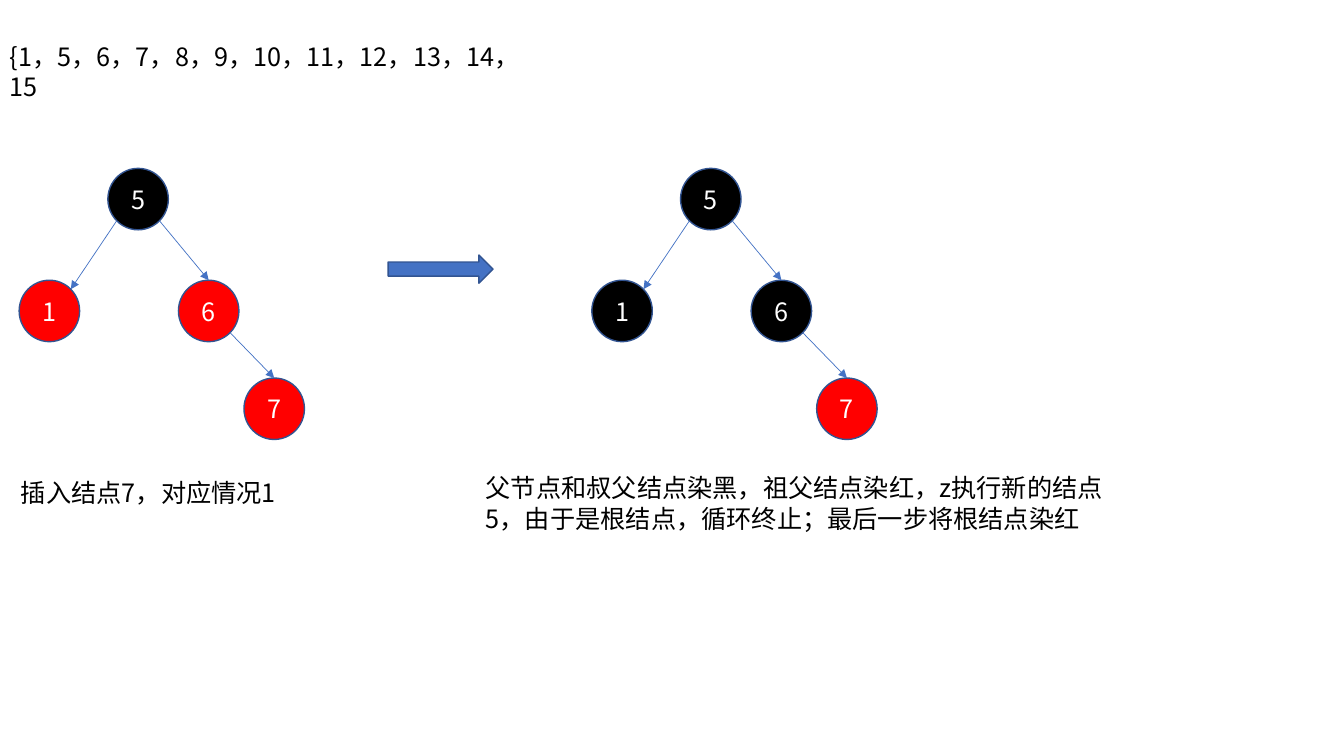
from dataclasses import dataclass
from math import sqrt

from pptx import Presentation
from pptx import util as u
from pptx.dml.color import RGBColor
from pptx.enum import shapes, text
from pptx.oxml.ns import qn
from lxml import etree

PX = 9144  # EMU per px, 100 px to the inch


@dataclass(frozen=True)
class Theme:
    font: str = "Noto Sans CJK SC"
    size: int = 18
    ink: str = "000000"
    paper: str = "FFFFFF"
    red: str = "FF0000"
    black: str = "000000"
    accent: str = "4472C4"
    outline: str = "325491"
    outline_pt: float = 1
    edge_pt: float = 0.5


class Board:
    """Draws tree elements on the current slide in one theme."""

    def __init__(self, slide, theme):
        self.s = slide
        self.theme = theme

    def style_text(self, tf, color):
        for p in tf.paragraphs:
            for r in p.runs:
                r.font.size = u.Pt(self.theme.size)
                r.font.color.rgb = RGBColor.from_string(color)
                r.font.name = self.theme.font
                ea = etree.SubElement(r.font._element, qn("a:ea"))
                ea.set("typeface", self.theme.font)

    def label(self, x, y, w, h, words):
        tf = self.s.shapes.add_textbox(x * PX, y * PX, w * PX, h * PX).text_frame
        tf.text = words
        tf.word_wrap = True
        tf.auto_size = text.MSO_AUTO_SIZE.SHAPE_TO_FIT_TEXT
        self.style_text(tf, self.theme.ink)

    def shape(self, kind, x, y, w, h, fill):
        sp = self.s.shapes.add_shape(kind, x * PX, y * PX, w * PX, h * PX)
        sp.shadow.inherit = False
        sp.fill.solid()
        sp.fill.fore_color.rgb = RGBColor.from_string(fill)
        sp.line.color.rgb = RGBColor.from_string(self.theme.outline)
        sp.line.width = u.Pt(self.theme.outline_pt)
        return sp

    def node(self, x, y, key, fill):
        sp = self.shape(shapes.MSO_SHAPE.FLOWCHART_CONNECTOR, x, y, 60, 61, fill)
        tf = sp.text_frame
        tf.text = key
        tf.vertical_anchor = text.MSO_ANCHOR.MIDDLE
        tf.paragraphs[0].alignment = text.PP_ALIGN.CENTER
        self.style_text(tf, self.theme.paper)
        return sp

    @staticmethod
    def rim(sp, dx, dy):
        """Point on the node's rim in the diagonal direction (dx, dy)."""
        return (int(sp.left + sp.width / 2 * (1 + dx / sqrt(2))),
                int(sp.top + sp.height / 2 * (1 + dy / sqrt(2))))

    def edge(self, parent, child):
        """Arrow to a left child's upper right rim or a right child's top."""
        side = 1 if child.left > parent.left else -1
        c = self.s.shapes.add_connector(
            shapes.MSO_CONNECTOR.STRAIGHT,
            *self.rim(parent, side, 1), *self.rim(child, 1, -1))
        if side == 1:
            c.end_connect(child, 0)
        c.line.color.rgb = RGBColor.from_string(self.theme.accent)
        c.line.width = u.Pt(self.theme.edge_pt)
        etree.SubElement(c.line._get_or_add_ln(), qn("a:tailEnd")).set("type", "triangle")
        etree.SubElement(c._element.spPr, qn("a:effectLst"))

    def tree(self, left, fills):
        nodes = {key: self.node(left + x, y, key, fills[key])
                 for key, (x, y) in PLACES.items()}
        for parent, child in EDGES:
            self.edge(nodes[parent], nodes[child])


PLACES = {"1": (0, 278), "5": (88, 167), "6": (158, 278), "7": (223, 375)}
EDGES = [("5", "6"), ("5", "1"), ("6", "7")]


def main():
    prs = Presentation()
    prs.slide_width, prs.slide_height = 1333 * PX, 750 * PX
    theme = Theme()
    board = Board(prs.slides.add_slide(prs.slide_layouts[6]), theme)
    red, black = theme.red, theme.black

    board.label(0, 36, 545, 40, "{1，5，6，7，8，9，10，11，12，13，14，15")
    board.tree(19, {"1": red, "5": black, "6": red, "7": red})
    board.label(11, 469, 465, 40, "插入结点7，对应情况1")
    board.tree(587, {"1": black, "5": black, "6": black, "7": red})
    board.shape(shapes.MSO_SHAPE.RIGHT_ARROW, 385, 253, 104, 28, theme.accent)
    board.label(472, 464, 667, 71,
                "父节点和叔父结点染黑，祖父结点染红，z执行新的结点5，"
                "由于是根结点，循环终止；最后一步将根结点染红")
    prs.save("out.pptx")


if __name__ == "__main__":
    main()
